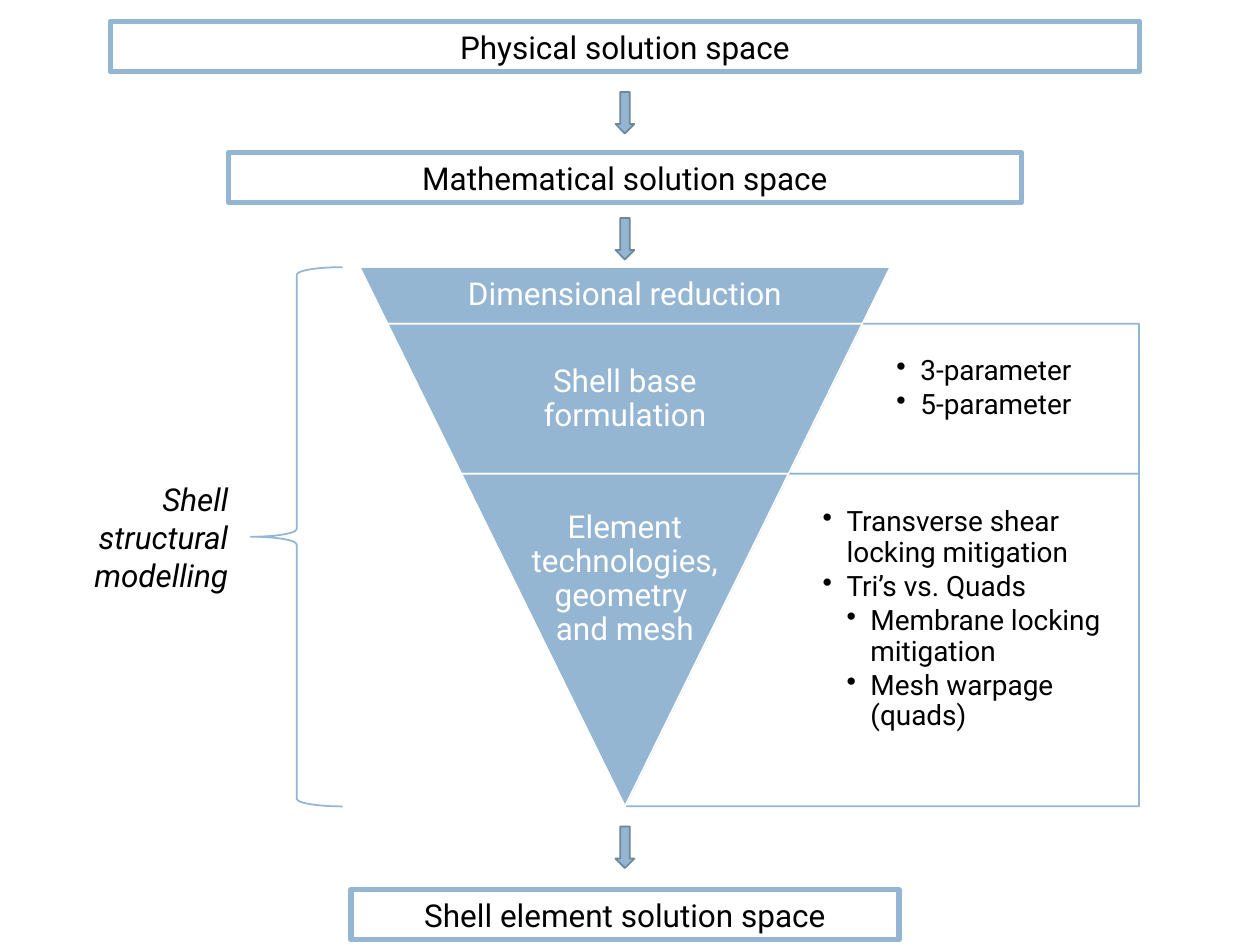
from dataclasses import dataclass

from lxml import etree
from pptx import Presentation
from pptx.dml.color import RGBColor
from pptx.enum.shapes import MSO_SHAPE
from pptx.enum.text import MSO_ANCHOR, PP_ALIGN
from pptx.oxml.ns import qn
from pptx.util import Inches, Pt

RECTANGLE, DOWN_ARROW = MSO_SHAPE.RECTANGLE, MSO_SHAPE.DOWN_ARROW
TRAPEZOID, LEFT_BRACE = MSO_SHAPE.TRAPEZOID, MSO_SHAPE.LEFT_BRACE
SIDE_TRAPEZOID = MSO_SHAPE.NON_ISOSCELES_TRAPEZOID
LEFT, CENTER, RIGHT = PP_ALIGN.LEFT, PP_ALIGN.CENTER, PP_ALIGN.RIGHT
TOP, MIDDLE = MSO_ANCHOR.TOP, MSO_ANCHOR.MIDDLE


@dataclass(frozen=True)
class Theme:
    font: str = "Roboto"
    blue: str = "94B6D2"
    arrow_line: str = "6D879B"
    white: str = "FFFFFF"
    black: str = "000000"
    body: float = 18
    note: float = 16


THEME = Theme()

# Solution spaces: text, top, width
SPACES = [
    ("Physical solution space", 0.17, 8.17),
    ("Mathematical solution space", 1.21, 6.29),
    ("Shell element solution space", 7.06, 4.35),
]
SPACE_HEIGHT = 0.4
ARROW_TOPS = [0.73, 1.73, 6.56]
ARROW_WIDTH, ARROW_HEIGHT = 0.15, 0.33
MODELLING = "Shell structural modelling"

# Funnel bands: text, top, text share of the width, notes as (level, text)
BANDS = [
    ("Dimensional reduction", 2.12, 0.65, []),
    ("Shell base formulation", 2.57, 0.65, [(1, "3-parameter"), (1, "5-parameter")]),
    ("Element\vtechnologies, geometry \vand mesh", 3.76, 1, [
        (1, "Transverse shear locking mitigation"),
        (1, "Tri’s vs. Quads"),
        (2, "Membrane locking mitigation"),
        (2, "Mesh warpage (quads)"),
    ]),
]
CENTER_X = 4.96
APEX_Y = 6.4
SLOPE = 0.492
NOTES_RIGHT = 9.04
BULLET_INDENT = 0.19


def color(value):
    return RGBColor.from_string(value)


def add_shape(parent, kind, box, fill, line, line_width=1, opacity=100):
    shape = parent.add_shape(kind, *map(Inches, box))
    shape.shadow.inherit = False
    if fill:
        shape.fill.solid()
        shape.fill.fore_color.rgb = color(fill)
        if opacity < 100:
            value = shape.fill._xPr.find(".//" + qn("a:srgbClr"))
            etree.SubElement(value, qn("a:alpha"), val=str(opacity * 1000))
    else:
        shape.fill.background()
    shape.line.color.rgb = color(line)
    shape.line.width = Pt(line_width)
    return shape


def add_bullet(paragraph, level):
    paragraph.level = level
    properties = paragraph._p.get_or_add_pPr()
    properties.set("marL", str(Inches(BULLET_INDENT * level)))
    properties.set("indent", str(-Inches(BULLET_INDENT)))
    etree.SubElement(properties, qn("a:buChar"), char="•")


def write(shape, items, size=THEME.body, ink=THEME.black, align=CENTER, anchor=MIDDLE,
          inset=None, top_inset=None, spacing=None, after=0, italic=False):
    """Fill a shape with (level, text) items; a level above 0 gives a bullet."""
    frame = shape.text_frame
    frame.word_wrap = True
    frame.vertical_anchor = anchor
    if inset is not None:
        frame.margin_left = frame.margin_right = frame.margin_bottom = Inches(inset)
        frame.margin_top = Inches(top_inset or inset)
    for index, (level, text) in enumerate(items):
        paragraph = frame.add_paragraph() if index else frame.paragraphs[0]
        paragraph.text = text
        paragraph.alignment = align
        paragraph.line_spacing = spacing
        paragraph.space_after = Pt(after)
        if level:
            add_bullet(paragraph, level)
        for run in paragraph.runs:
            run.font.name = THEME.font
            run.font.size = Pt(size)
            run.font.italic = italic
            run.font.color.rgb = color(ink)


def add_text(parent, box, items, **text_format):
    write(parent.add_textbox(*map(Inches, box)), items, **text_format)


def half_width(y):
    return SLOPE * (APEX_Y - y)


def add_notes(parent, top, height, notes):
    """Panel that fits the slanted side of its band, with bullets in the straight part."""
    slant_left = CENTER_X + half_width(top + height)
    text_left = CENTER_X + half_width(top)
    panel = add_shape(parent, SIDE_TRAPEZOID,
                      (slant_left, top, NOTES_RIGHT - slant_left, height),
                      THEME.white, THEME.blue, opacity=90)
    panel.adjustments[0] = SLOPE
    panel.adjustments[1] = 0
    add_text(parent, (text_left, top, NOTES_RIGHT - text_left, height), notes,
             size=THEME.note, align=LEFT, anchor=TOP, inset=0.27, spacing=0.9, after=2.4)


def add_band(parent, top, height, text, text_share, is_tip):
    width = 2 * half_width(top)
    band = add_shape(parent, TRAPEZOID, (CENTER_X - width / 2, top, width, height),
                     THEME.blue, THEME.white)
    band.rotation = 180
    band.adjustments[0] = SLOPE * height / min(width, height)
    text_width = width * text_share
    add_text(parent, (CENTER_X - text_width / 2, top, text_width, height), [(0, text)],
             ink=THEME.white, inset=0.03, spacing=0.9,
             anchor=TOP if is_tip else MIDDLE, top_inset=0.3 if is_tip else None)


def main():
    presentation = Presentation()
    presentation.slide_width, presentation.slide_height = Inches(10), Inches(7.5)
    slide = presentation.slides.add_slide(presentation.slide_layouts[6])
    shapes = slide.shapes

    funnel = shapes.add_group_shape().shapes
    bottoms = [band[1] for band in BANDS[1:]] + [APEX_Y]
    for (text, top, text_share, notes), bottom in zip(BANDS, bottoms):
        if notes:
            add_notes(funnel, top, bottom - top, notes)
        add_band(funnel, top, bottom - top, text, text_share, bottom == APEX_Y)

    for text, top, width in SPACES:
        box = (CENTER_X - width / 2, top, width, SPACE_HEIGHT)
        write(add_shape(shapes, RECTANGLE, box, THEME.white, THEME.blue, line_width=3),
              [(0, text)])

    for top in ARROW_TOPS:
        box = (CENTER_X - ARROW_WIDTH / 2, top, ARROW_WIDTH, ARROW_HEIGHT)
        add_shape(shapes, DOWN_ARROW, box, THEME.blue, THEME.arrow_line)

    funnel_top = BANDS[0][1]
    add_shape(shapes, LEFT_BRACE, (1.99, funnel_top, 0.73, APEX_Y - funnel_top),
              None, THEME.blue)
    add_text(shapes, (0.43, 3.76, 1.48, 1.01), [(0, MODELLING)],
             align=RIGHT, anchor=TOP, italic=True)

    presentation.save("out.pptx")


if __name__ == "__main__":
    main()
